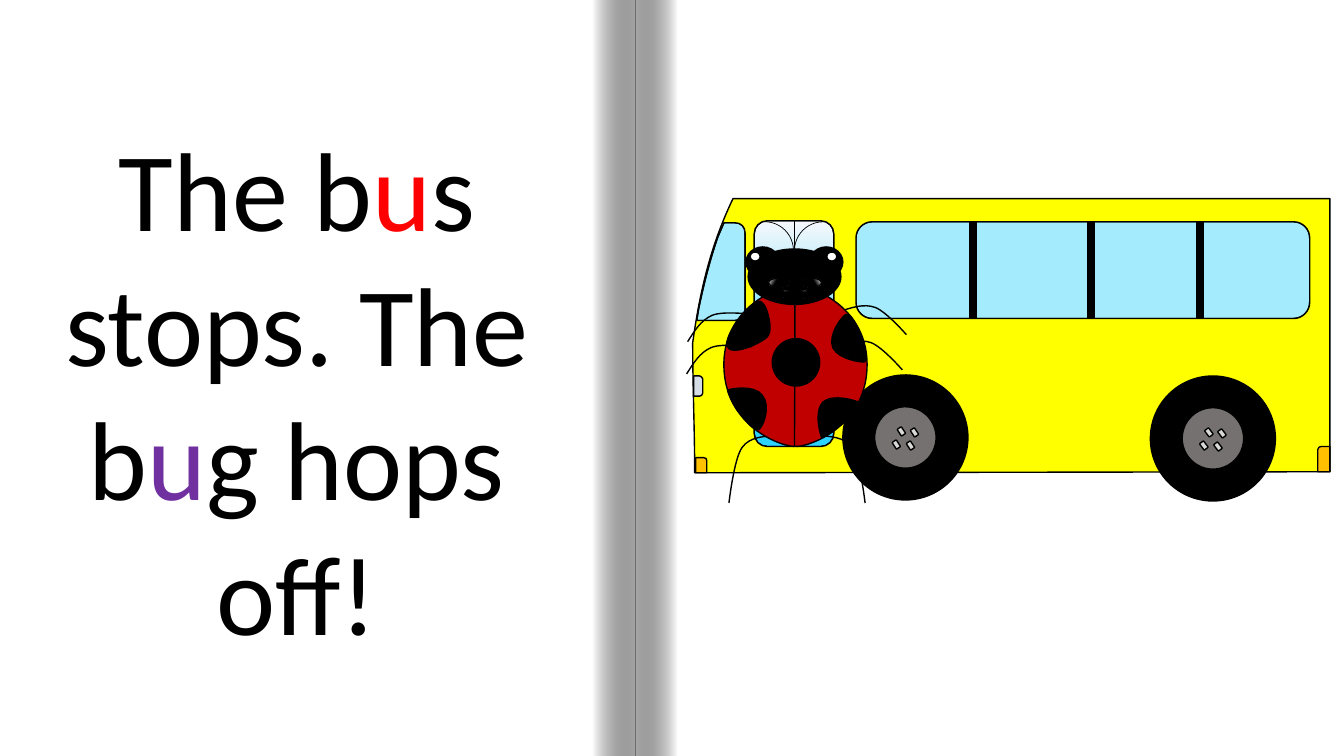
from pptx import Presentation
from pptx.dml.color import RGBColor
from pptx.enum.shapes import MSO_CONNECTOR, MSO_SHAPE
from pptx.enum.text import MSO_AUTO_SIZE, PP_ALIGN
from pptx.oxml.ns import qn
from pptx.oxml.xmlchemy import OxmlElement
from pptx.util import Cm, Pt

BLACK, WHITE, YELLOW, AMBER = "000000", "FFFFFF", "FFFF00", "FFC000"
RED, GLASS, HUBCAP, LUG = "C00000", "8BE6FD", "767171", "D9D9D9"
SHEEN = ((0, WHITE), (38, BLACK))


def color(value):
    return RGBColor.from_string(value)


def length(inches):
    return Cm(inches * 2.54)


def rounded(left, top, right, bottom, radius):
    """Outline of a rounded rectangle: two numbers are a line, six are a curve."""
    pull = radius * 0.45
    return [
        (left + radius, top), (right - radius, top),
        (right - pull, top, right, top + pull, right, top + radius),
        (right, bottom - radius),
        (right, bottom - pull, right - pull, bottom, right - radius, bottom),
        (left + radius, bottom),
        (left + pull, bottom, left, bottom - pull, left, bottom - radius),
        (left, top + radius),
        (left, top + pull, left + pull, top, left + radius, top),
    ]


def shift(outline, across, down):
    return [tuple(v + (down if i % 2 else across) for i, v in enumerate(step)) for step in outline]


def mirror(outline, axis):
    return [tuple(v if i % 2 else 2 * axis - v for i, v in enumerate(step)) for step in outline]


def vertices(outline):
    return [(length(x), length(y)) for step in outline for x, y in zip(step[::2], step[1::2])]


def bend(shape, outlines):
    """Join the three points of each curved step into one cubic curve."""
    lines = iter(list(shape._element.iter(qn("a:lnTo"))))
    for step in (step for outline in outlines for step in outline[1:]):
        group = [next(lines) for _ in range(len(step) // 2)]
        if len(group) == 3:
            curve = OxmlElement("a:cubicBezTo")
            group[0].addprevious(curve)
            for line in group:
                curve.append(line[0])
                line.getparent().remove(line)


class Page:
    font_format = {"name": "Calibri", "size": Pt(80)}

    def __init__(self, presentation):
        self.slide = presentation.slides.add_slide(presentation.slide_layouts[6])
        self.shapes = self.slide.shapes
        self.slide.background.fill.solid()
        self.slide.background.fill.fore_color.rgb = color(BLACK)

    def paint(self, shape, fill, line, angle=0, opacity=None):
        shape.shadow.inherit = False
        if fill is None:
            shape.fill.background()
        elif isinstance(fill, str):
            shape.fill.solid()
            shape.fill.fore_color.rgb = color(fill)
        else:
            shape.fill.gradient()
            shape.fill.gradient_angle = (360 - angle) % 360
            for stop, (position, value) in zip(shape.fill.gradient_stops, fill):
                stop.position = position / 100
                stop.color.rgb = color(value)
        if opacity:
            alpha = OxmlElement("a:alpha")
            alpha.set("val", str(opacity * 1000))
            list(shape._element.spPr.iter(qn("a:srgbClr")))[-1].append(alpha)
        self.stroke(shape, line)

    def stroke(self, shape, width):
        if width:
            shape.line.color.rgb = color(BLACK)
            shape.line.width = Pt(width)
        else:
            shape.line.fill.background()

    def preset(self, kind, left, top, width, height, fill, line=1, rotation=0, **paint):
        box = [length(value) for value in (left, top, width, height)]
        shape = self.shapes.add_shape(kind, *box)
        shape.rotation = rotation
        self.paint(shape, fill, line, **paint)

    def ellipse(self, *box, fill=BLACK, **options):
        self.preset(MSO_SHAPE.OVAL, *box, fill, **options)

    def outline(self, *outlines, fill=None, closed=True, **paint):
        first, *others = [vertices(outline) for outline in outlines]
        builder = self.shapes.build_freeform(*first[0], scale=1.0)
        builder.add_line_segments(first[1:], close=closed)
        for points in others:
            builder.move_to(*points[0])
            builder.add_line_segments(points[1:], close=closed)
        shape = builder.convert_to_shape()
        bend(shape, outlines)
        self.paint(shape, fill, 1, **paint)

    def line(self, x, top, bottom, width):
        ends = [length(value) for value in (x, top, x, bottom)]
        connector = self.shapes.add_connector(MSO_CONNECTOR.STRAIGHT, *ends)
        self.stroke(connector, width)
        connector._element.spPr.append(OxmlElement("a:effectLst"))

    def text(self, left, top, width, height, runs):
        box = self.shapes.add_textbox(*[length(v) for v in (left, top, width, height)])
        box.text_frame.word_wrap = True
        box.text_frame.auto_size = MSO_AUTO_SIZE.SHAPE_TO_FIT_TEXT
        paragraph = box.text_frame.paragraphs[0]
        paragraph.alignment = PP_ALIGN.CENTER
        for words, value in runs:
            run = paragraph.add_run()
            run.text = words
            for name, setting in self.font_format.items():
                setattr(run.font, name, setting)
            run.font.color.rgb = color(value)

    def wheel(self, x, y, rotation):
        for size, fill in ((1.24, BLACK), (0.61, HUBCAP)):
            self.ellipse(x - size / 2, y - size / 2, size, size, fill=fill, rotation=rotation)
        for across, down in ((0.09, -0.05), (-0.04, -0.06), (-0.09, 0.07), (0.05, 0.08)):
            self.preset(MSO_SHAPE.ROUNDED_RECTANGLE, x + across - 0.025, y + down - 0.04,
                        0.05, 0.08, LUG, rotation=rotation)


def draw_book(page):
    page.preset(MSO_SHAPE.RECTANGLE, 0, 0, 13.33, 7.5, WHITE, line=None)
    for left, angle in ((6.3, 180), (5.88, 0)):
        page.preset(MSO_SHAPE.RECTANGLE, left, 0, 0.42, 7.5, ((0, WHITE), (100, BLACK)),
                    line=None, angle=angle, opacity=34)
    page.text(0.01, 1.14, 5.87, 5.49, [
        ("The b", BLACK), ("u", "FF0000"), ("s stops. The b", BLACK),
        ("u", "7030A0"), ("g hops off!", BLACK)])


def draw_bus(page):
    # Door, windows and the body with openings for them
    door = rounded(7.48, 2.19, 8.27, 4.43, 0.13)
    side_window = rounded(8.49, 2.2, 12.99, 3.16, 0.16)
    windscreen = [(7.18, 2.21), (7.29, 2.21), (7.35, 2.21, 7.39, 2.25, 7.39, 2.31), (7.39, 3.08),
                  (7.39, 3.14, 7.35, 3.18, 7.29, 3.18), (6.91, 3.18), (6.93, 3.06),
                  (6.98, 2.82, 7.04, 2.58, 7.12, 2.35)]
    body = [(7.27, 1.97), (13.19, 1.97), (13.19, 4.68), (6.89, 4.69),
            (6.89, 4.25, 6.87, 3.84, 6.87, 3.4), (6.94, 2.91, 7.04, 2.45, 7.27, 1.97)]
    page.outline(door, fill=((0, "F6F8FC"), (74, "2FD3FF")), angle=90)
    for window in (side_window, windscreen):
        page.outline(window, fill=GLASS, opacity=78)
    page.outline(body, door, side_window, windscreen, fill=YELLOW)

    # Lamps
    page.outline([(6.88, 3.73), (6.94, 3.73), (6.95, 3.73, 6.97, 3.75, 6.97, 3.76), (6.97, 3.9),
                  (6.97, 3.92, 6.95, 3.93, 6.94, 3.93), (6.88, 3.93)], fill="D6DCE5")
    page.outline([(13.1, 4.43), (13.19, 4.43), (13.19, 4.68), (13.07, 4.68), (13.07, 4.46),
                  (13.07, 4.44, 13.09, 4.43, 13.1, 4.43)], fill=AMBER)
    page.outline([(6.9, 4.54), (6.98, 4.54), (7, 4.54, 7.01, 4.55, 7.01, 4.57),
                  (7.01, 4.69), (6.9, 4.69)], fill=AMBER)

    # Wheels, door split and window bars
    page.wheel(8.98, 4.34, 326.9)
    page.wheel(12.03, 4.35, 322.9)
    page.line(7.88, 2.19, 4.43, 0.5)
    for x in (9.65, 10.82, 11.9):
        page.line(x, 2.2, 3.16, 6)


def draw_bug(page):
    # Legs and feelers
    back_leg = [(7.71, 4.32), (7.58, 4.33, 7.44, 4.33, 7.36, 4.44), (7.28, 4.55, 7.23, 4.99, 7.23, 4.99)]
    left_leg = [(6.82, 3.39), (6.89, 3.28, 6.95, 3.18, 7.06, 3.13), (7.17, 3.08, 7.47, 3.12, 7.47, 3.12)]
    right_leg = [(8.33, 3.09), (8.45, 3.05, 8.57, 3.01, 8.68, 3.05), (8.79, 3.09, 8.99, 3.32, 8.99, 3.32)]
    for leg in (back_leg, mirror(back_leg, 7.905), left_leg, right_leg):
        page.outline(leg, closed=False)
    for left, rotation in ((7.88, 270), (7.3, 0)):
        page.preset(MSO_SHAPE.ARC, left, 2.2, 0.57, 0.57, None, line=0.5, rotation=rotation)

    # Wings and spots
    wing = [(7.18, 3.63), (7.17, 2.95, 7.91, 2.79, 7.9, 2.84), (7.89, 2.89, 7.9, 4.36, 7.9, 4.42),
            (7.9, 4.47, 7.19, 4.31, 7.18, 3.63)]
    for half in (wing, mirror(wing, 7.89)):
        page.outline(half, fill=RED)
    page.ellipse(7.66, 3.36, 0.47, 0.47)
    for spot in (
        [(8.16, 3.99), (8.26, 3.9, 8.51, 3.98, 8.51, 3.99), (8.51, 4.01, 8.43, 4.13, 8.37, 4.19),
         (8.31, 4.25, 8.16, 4.35, 8.15, 4.34), (8.14, 4.33, 8.07, 4.09, 8.16, 3.99)],
        [(7.56, 3.92), (7.65, 4.03, 7.57, 4.23, 7.53, 4.26), (7.49, 4.29, 7.39, 4.17, 7.34, 4.1),
         (7.28, 4.04, 7.21, 3.88, 7.22, 3.87), (7.23, 3.86, 7.48, 3.81, 7.56, 3.92)],
        [(8.26, 3.45), (8.21, 3.32, 8.35, 3.14, 8.39, 3.12), (8.44, 3.1, 8.51, 3.25, 8.54, 3.33),
         (8.57, 3.41, 8.61, 3.57, 8.58, 3.59), (8.56, 3.6, 8.32, 3.57, 8.26, 3.45)],
        [(7.62, 3.33), (7.57, 3.4, 7.24, 3.55, 7.21, 3.43), (7.19, 3.31, 7.42, 3.03, 7.51, 2.99),
         (7.6, 2.95, 7.67, 3.26, 7.62, 3.33)],
    ):
        page.outline(spot, fill=BLACK)

    # Head, eyes and shine
    for left in (7.73, 7.91):
        page.ellipse(left, 2.87, 0.13, 0.13)
    page.ellipse(7.42, 2.47, 0.92, 0.55)
    for left in (8.03, 7.4):
        page.ellipse(left, 2.45, 0.33, 0.3)
    for left, angle in ((7.94, 150), (7.62, 30)):
        page.ellipse(left, 2.76, 0.21, 0.09, fill=SHEEN, angle=angle)
    for left in (8.2, 7.44):
        page.ellipse(left, 2.5, 0.1, 0.09, fill=WHITE)
    for left, angle, rotation in ((7.93, 150, 295.3), (7.75, 30, 64.7)):
        page.ellipse(left, 2.88, 0.09, 0.07, fill=SHEEN, angle=angle, rotation=rotation)

    # Lower pair of front legs
    for leg in (shift(right_leg, -0.04, 0.35), shift(left_leg, -0.01, 0.32)):
        page.outline(leg, closed=False)


def main():
    presentation = Presentation()
    presentation.slide_width, presentation.slide_height = length(13.33), length(7.5)
    page = Page(presentation)
    draw_book(page)
    draw_bus(page)
    draw_bug(page)
    presentation.save("out.pptx")


if __name__ == "__main__":
    main()
